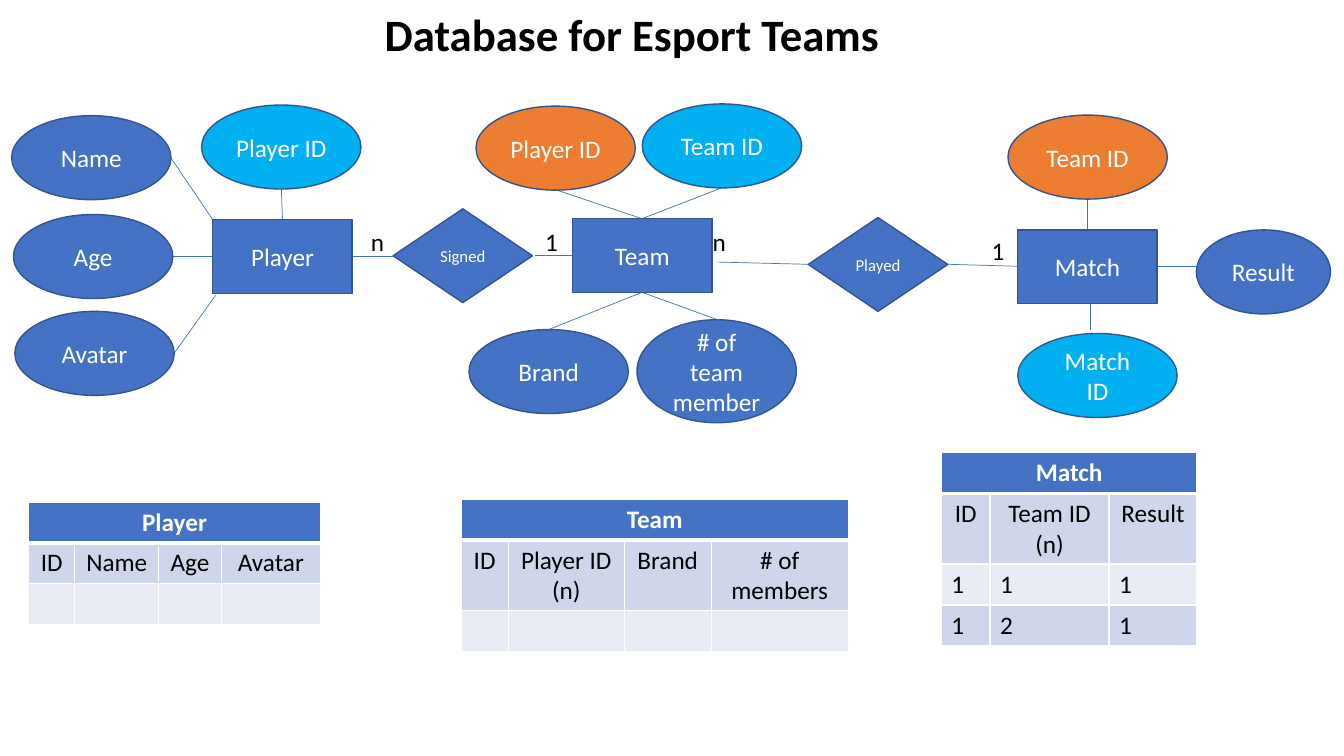
from pptx import Presentation
from pptx.dml.color import RGBColor
from pptx.enum.shapes import MSO_CONNECTOR, MSO_SHAPE
from pptx.enum.text import MSO_ANCHOR, PP_ALIGN
from pptx.oxml import parse_xml
from pptx.oxml.ns import nsdecls
from pptx.util import Pt

RECT, OVAL, DIAMOND = MSO_SHAPE.RECTANGLE, MSO_SHAPE.OVAL, MSO_SHAPE.DIAMOND
STRAIGHT, MIDDLE = MSO_CONNECTOR.STRAIGHT, MSO_ANCHOR.MIDDLE
LEFT, CENTER = PP_ALIGN.LEFT, PP_ALIGN.CENTER
COLORS = {"blue": "4472C4", "cyan": "00B0F0", "orange": "ED7D31", "edge": "325491",
          "white": "FFFFFF", "black": "000000", "band": "CFD5EA", "pale": "E9EBF5"}


def rgb(name):
    return RGBColor.from_string(COLORS[name])


def write(tf, text, size=18, color="white", bold=False, align=CENTER):
    for i, line in enumerate(text.split("\n")):
        p = tf.add_paragraph() if i else tf.paragraphs[0]
        p.alignment = align
        r = p.add_run()
        r.text = line
        font = {"name": "Calibri", "size": Pt(size), "bold": bold}
        for key, value in font.items():
            setattr(r.font, key, value)
        r.font.color.rgb = rgb(color)


prs = Presentation()
prs.slide_width, prs.slide_height = Pt(960), Pt(540)
s = prs.slides.add_slide(prs.slide_layouts[6])

# Title
tf = s.shapes.add_textbox(Pt(52.5), Pt(1.5), Pt(798), Pt(46)).text_frame
tf.word_wrap = True
write(tf, "Database for Esport Teams", 32, "black", True)

# Links between entities, attributes and relationships
links = [
    (121.9, 112.5, 152, 157), (123.3, 183, 152, 183), (124.5, 252.2, 154, 211),
    (201, 134.8, 201.8, 157), (251.8, 183, 280.8, 183),
    (382.3, 182.2, 411, 182.2), (458.6, 208.8, 391.9, 235.4),
    (458.6, 208.8, 512, 228.2), (458.6, 156.2, 515.5, 134.2),
    (458.6, 156.2, 396.9, 135.5), (512.6, 187.2, 577.4, 188.8),
    (677.3, 188.8, 727, 190.2), (779, 211.7, 779, 235.5),
    (777, 164.2, 777, 141.9), (826.5, 190.2, 854.6, 190.2),
]
for x1, y1, x2, y2 in links:
    line = s.shapes.add_connector(STRAIGHT, Pt(x1), Pt(y1), Pt(x2), Pt(y2))
    line.line.color.rgb = rgb("blue")
    line.line.width = Pt(0.5)
    line._element.spPr.append(parse_xml(f"<a:effectLst {nsdecls('a')}/>"))

# Entities (rectangles), relationships (diamonds), attributes (ovals)
SIZES = {RECT: (99.6, 52.6, 18), DIAMOND: (99.6, 67, 12), OVAL: (113.8, 60, 18)}
nodes = [
    (RECT, "Player", 152, 157, "blue"), (RECT, "Team", 409, 156.2, "blue"),
    (RECT, "Match", 727, 164.2, "blue"),
    (DIAMOND, "Signed", 280.8, 149.2, "blue"), (DIAMOND, "Played", 577.4, 155.4, "blue"),
    (OVAL, "Name", 8.3, 82.6, "blue"), (OVAL, "Age", 9.6, 153.2, "blue"),
    (OVAL, "Avatar", 10.6, 222.4, "blue"), (OVAL, "Player ID", 144, 75, "cyan"),
    (OVAL, "Player ID", 340, 75.8, "orange"), (OVAL, "Team ID", 458.8, 74.2, "cyan"),
    (OVAL, "Brand", 335, 235.4, "blue"), (OVAL, "# of team member", 455, 228.4, "blue"),
    (OVAL, "Team ID", 720, 82.2, "orange"), (OVAL, "Match ID", 727, 238.2, "cyan"),
    (OVAL, "Result", 854.6, 164.2, "blue"),
]
SPECIAL = {"# of team member": (113.8, 73.6), "Result": (95.8, 60)}
for kind, text, x, y, color in nodes:
    w, h, size = SIZES[kind]
    w, h = SPECIAL.get(text, (w, h))
    sp = s.shapes.add_shape(kind, Pt(x), Pt(y), Pt(w), Pt(h))
    sp.shadow.inherit = False
    sp.fill.solid()
    sp.fill.fore_color.rgb = rgb(color)
    sp.line.color.rgb = rgb("edge")
    sp.line.width = Pt(1)
    sp.text_frame.word_wrap = True
    sp.text_frame.vertical_anchor = MIDDLE
    write(sp.text_frame, text, size)

# Cardinalities: text, left, top, width, side inset
for text, x, y, w, inset in [("n", 257.8, 158.4, 21, 7.2), ("1", 382.3, 158.4, 19.6, 7.2),
                             ("n", 509, 158.4, 10, 0), ("1", 701.3, 164.2, 19, 7.2)]:
    tf = s.shapes.add_textbox(Pt(x), Pt(y), Pt(w), Pt(29)).text_frame
    tf.word_wrap = True
    tf.margin_left = tf.margin_right = Pt(inset)
    write(tf, text, color="black", align=LEFT)

# Tables: left, top, column widths, field row height, title, rows
ROW_H = 29.2
tables = [
    (20.4, 358.6, [33, 60, 44.6, 71], ROW_H, "Player",
     [["ID", "Name", "Age", "Avatar"], [""] * 4]),
    (329.4, 356.6, [33.6, 83, 62, 98], 50.4, "Team",
     [["ID", "Player ID\n(n)", "Brand", "# of members"], [""] * 4]),
    (672.4, 323.3, [34.8, 85, 62.8], 50.4, "Match",
     [["ID", "Team ID\n(n)", "Result"], ["1", "1", "1"], ["1", "2", "1"]]),
]
for x, y, widths, field_h, title, body in tables:
    rows = [[title] + [""] * (len(widths) - 1)] + body
    heights = [ROW_H, field_h] + [ROW_H] * (len(rows) - 2)
    table = s.shapes.add_table(len(rows), len(widths), Pt(x), Pt(y),
                               Pt(sum(widths)), Pt(sum(heights))).table
    for col, w in zip(table.columns, widths):
        col.width = Pt(w)
    for row, h in zip(table.rows, heights):
        row.height = Pt(h)
    table.cell(0, 0).merge(table.cell(0, len(widths) - 1))
    for i, row in enumerate(rows):
        for j, text in enumerate(row):
            cell = table.cell(i, j)
            cell.fill.solid()
            cell.fill.fore_color.rgb = rgb("blue" if i == 0 else "band" if i % 2 else "pale")
            if text:
                write(cell.text_frame, text, color="black" if i else "white",
                      bold=i == 0, align=CENTER if i < 2 else LEFT)
            # White borders, thicker under the title row
            edges = {"L": 1, "R": 1, "T": 3 if i == 1 else 1, "B": 3 if i == 0 else 1}
            for k, (side, width) in enumerate(edges.items()):
                cell._tc.get_or_add_tcPr().insert(k, parse_xml(
                    f'<a:ln{side} {nsdecls("a")} w="{Pt(width)}"><a:solidFill>'
                    f'<a:srgbClr val="{COLORS["white"]}"/></a:solidFill></a:ln{side}>'))

prs.save("out.pptx")
